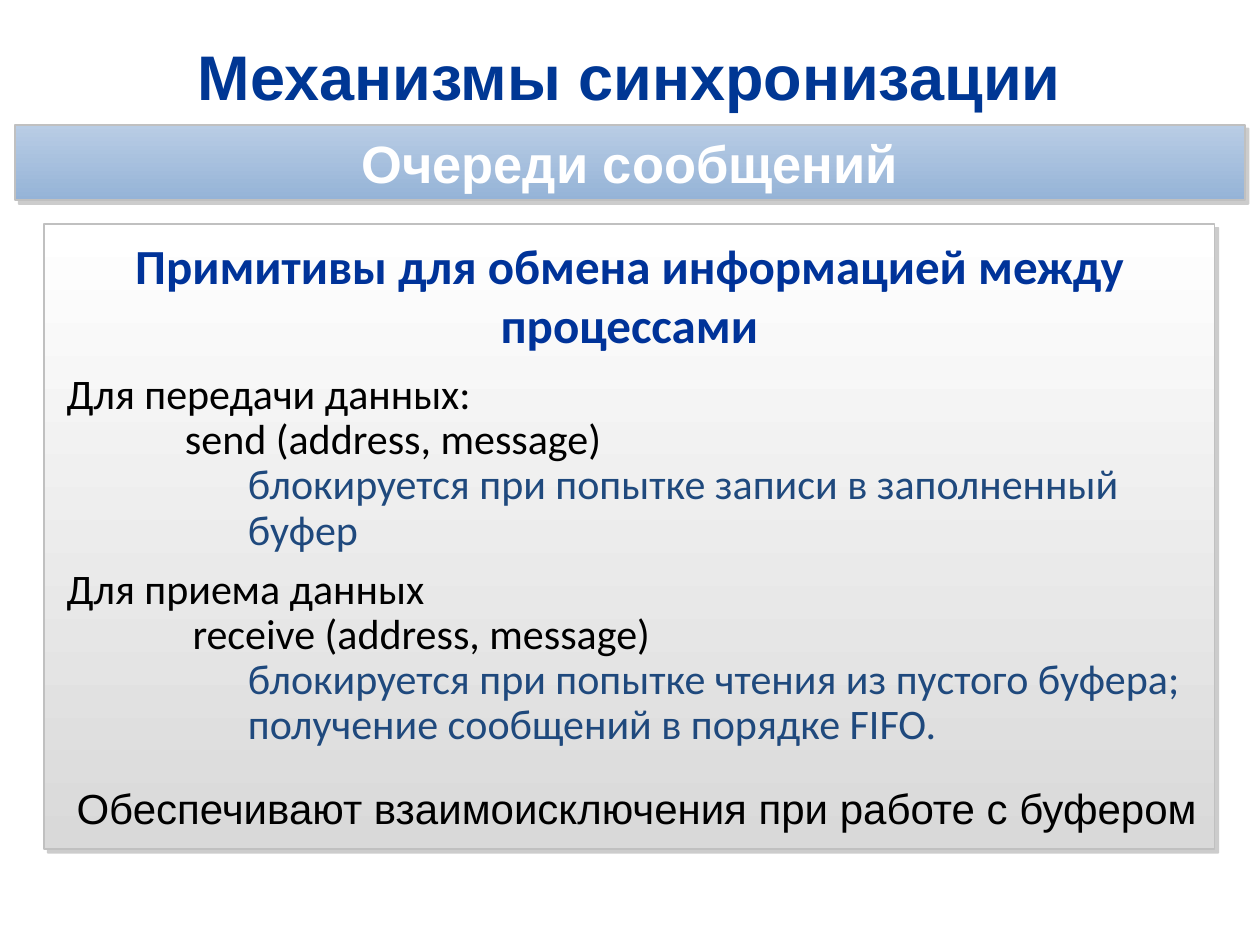
from dataclasses import dataclass

from lxml.etree import SubElement
from pptx import Presentation
from pptx.dml.color import RGBColor
from pptx.enum.shapes import MSO_SHAPE as Shape
from pptx.enum.text import MSO_ANCHOR as Anchor, PP_ALIGN as Align
from pptx.oxml.ns import qn
from pptx.util import Inches, Pt

COLUMNS, ROWS = 100, 75
WIDTH, HEIGHT = Inches(10), Inches(7.5)


@dataclass(frozen=True)
class Theme:
    heading_font: str = "Arial"
    body_font: str = "Calibri"
    title: str = "003794"
    lead: str = "003399"
    text: str = "000000"
    detail: str = "1F497D"
    white: str = "FFFFFF"
    border: str = "C0C0C0"
    shadow: str = "808080"
    band: tuple = ("B9CDE5", "95B3D7")
    panel: tuple = ("FFFFFF", "D9D9D9")
    title_size: int = 36
    band_size: int = 30
    lead_size: int = 28
    text_size: int = 24


class SlideBuilder:
    """Places elements on a grid of 100 columns by 75 rows."""

    def __init__(self, page, theme):
        self.page = page
        self.theme = theme

    def cells(self, left, top, width, height):
        column, row = WIDTH / COLUMNS, HEIGHT / ROWS
        return [round(n) for n in
                (left * column, top * row, width * column, height * row)]

    def add_span(self, para, text, size, color, font, bold=False):
        span = para.add_run()
        span.text = text
        span.font.size = Pt(size)
        span.font.name = font
        span.font.bold = bold
        span.font.color.rgb = RGBColor.from_string(color)

    def title(self, text, *area):
        box = self.page.shapes.title
        box.left, box.top, box.width, box.height = self.cells(*area)
        box.text_frame.vertical_anchor = Anchor.MIDDLE
        para = box.text_frame.paragraphs[0]
        para.alignment = Align.CENTER
        self.add_span(para, text, self.theme.title_size, self.theme.title,
                      self.theme.heading_font, True)

    def panel(self, colors, *area):
        """Draws a bordered rectangle with a vertical gradient and a shadow."""
        box = self.page.shapes.add_shape(Shape.RECTANGLE, *self.cells(*area))
        box.fill.gradient()
        box.fill.gradient_angle = 270
        for stop, position, color in zip(box.fill.gradient_stops, (0, 1), colors):
            stop.position = position
            stop.color.rgb = RGBColor.from_string(color)
        box.line.color.rgb = RGBColor.from_string(self.theme.border)
        box.line.width = Pt(1)
        self.cast_shadow(box)
        return box

    def cast_shadow(self, box):
        box.shadow.inherit = False
        effects = box._element.spPr.find(qn("a:effectLst"))
        shadow = SubElement(effects, qn("a:outerShdw"), dist=str(Pt(3)),
                            dir="2700000", algn="ctr", rotWithShape="0")
        color = SubElement(shadow, qn("a:srgbClr"), val=self.theme.shadow)
        SubElement(color, qn("a:alpha"), val="40000")

    def band(self, text, *area):
        frame = self.panel(self.theme.band, *area).text_frame
        frame.vertical_anchor = Anchor.MIDDLE
        para = frame.paragraphs[0]
        para.alignment = Align.CENTER
        self.add_span(para, text, self.theme.band_size, self.theme.white,
                      self.theme.heading_font, True)

    def text_box(self, *area):
        frame = self.page.shapes.add_textbox(*self.cells(*area)).text_frame
        frame.word_wrap = True
        return frame

    def lead(self, frame, text):
        para = frame.paragraphs[0]
        para.alignment = Align.CENTER
        para.space_after = Pt(0.4 * self.theme.lead_size)
        self.add_span(para, text, self.theme.lead_size, self.theme.lead,
                      self.theme.body_font, True)

    def item(self, frame, text, color, margin=0, hanging=0, spacing=0.9, before=0):
        para = frame.add_paragraph()
        para.line_spacing = spacing
        para.space_before = Pt(before)
        properties = para._p.get_or_add_pPr()
        properties.set("marL", str(Inches(margin)))
        properties.set("indent", str(-Inches(hanging)))
        self.add_span(para, text, self.theme.text_size, color,
                      self.theme.body_font)

    def primitive(self, frame, purpose, call, hanging, behaviour, **spacing):
        """Adds a purpose, the call that serves it and how the call behaves."""
        self.item(frame, purpose, self.theme.text, **spacing)
        self.item(frame, call, self.theme.text, 1.25, hanging)
        self.item(frame, behaviour, self.theme.detail, 1.44)

    def closing(self, text, *area):
        frame = self.text_box(*area)
        self.add_span(frame.paragraphs[0], text, self.theme.text_size,
                      self.theme.text, self.theme.heading_font)


def main():
    deck = Presentation()
    deck.slide_width, deck.slide_height = WIDTH, HEIGHT
    theme = Theme()
    slide = SlideBuilder(deck.slides.add_slide(deck.slide_layouts[5]), theme)

    slide.title("Механизмы синхронизации", 3.5, 2.6, 92.9, 6.8)
    slide.band("Очереди сообщений", 1.2, 9.9, 97.6, 6)
    slide.panel(theme.panel, 3.5, 17.8, 92.9, 49.6)

    body = slide.text_box(4.3, 18.2, 91.3, 42.1)
    slide.lead(body, "Примитивы для обмена информацией между процессами")
    slide.primitive(body, "Для передачи данных:", "send (address, message)", 0.31,
                    "блокируется при попытке записи в заполненный буфер")
    slide.primitive(body, "Для приема данных", "receive (address, message)", 0.25,
                    "блокируется при попытке чтения из пустого буфера; "
                    "получение сообщений в порядке FIFO.",
                    spacing=1, before=0.2 * theme.text_size)
    slide.closing("Обеспечивают взаимоисключения при работе с буфером",
                  5.1, 61.6, 91.3, 5)

    deck.save("out.pptx")


if __name__ == "__main__":
    main()
